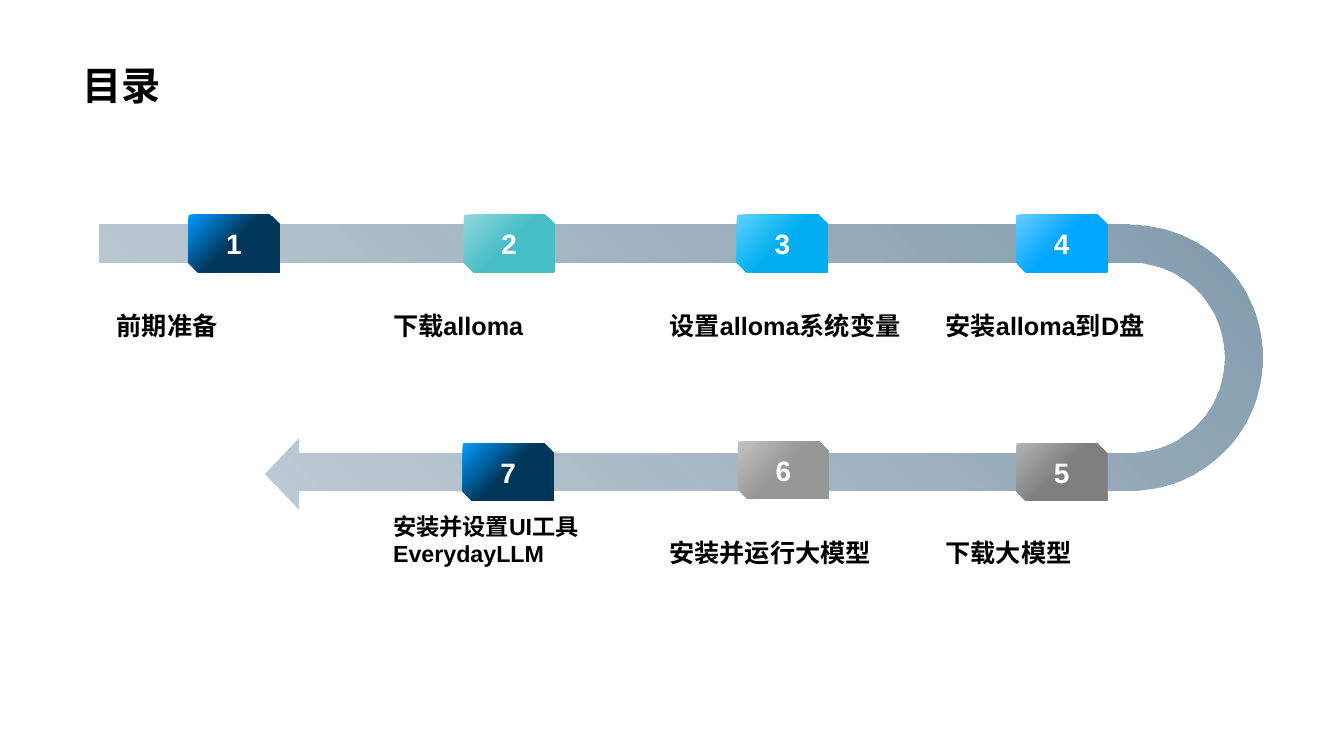
from math import cos, pi, sin

from lxml.etree import SubElement
from pptx import Presentation
from pptx.dml.color import RGBColor
from pptx.enum.shapes import MSO_SHAPE as Shape
from pptx.enum.text import MSO_ANCHOR as Anchor, PP_ALIGN as Align
from pptx.oxml.ns import qn
from pptx.util import Inches, Pt

COLORS = {
    "text": "000000",
    "number": "FFFFFF",
    "road": "003659",
    "navy": ("029CFF", "003659"),
    "teal": ("91D8DD", "47BEC6"),
    "cyan": ("5CD3FF", "00AEEF"),
    "azure": ("66CAFF", "00A7FF"),
    "dark_gray": ("B2B2B2", "7F7F7F"),
    "light_gray": ("C1C1C1", "979797"),
}
LABEL_LEFT, LABEL_PITCH = 1.06, 2.74
LABEL_TOPS = (2.79, 5.04)
STEPS = [
    ("前期准备", 0, 0, 1.87, 2.13, "navy", 18),
    ("下载alloma", 1, 0, 4.6, 2.13, "teal", 18),
    ("设置alloma系统变量", 2, 0, 7.31, 2.13, "cyan", 18),
    ("安装alloma到D盘", 3, 0, 10.08, 2.13, "azure", 18),
    ("下载大模型", 3, 1, 10.08, 4.4, "dark_gray", 18),
    ("安装并运行大模型", 2, 1, 7.32, 4.38, "light_gray", 18),
    ("安装并设置UI工具EverydayLLM", 1, 1, 4.59, 4.4, "navy", 16.6),
]


def write_text(frame, text, size, color, anchor, align):
    frame.word_wrap = True
    frame.vertical_anchor = anchor
    paragraph = frame.paragraphs[0]
    paragraph.alignment = align
    run = paragraph.add_run()
    run.text = text
    for key, value in {"name": "Arial", "size": Pt(size), "bold": True}.items():
        setattr(run.font, key, value)
    run.font.color.rgb = RGBColor.from_string(COLORS[color])


def paint_gradient(shape, colors, end, angle):
    shape.shadow.inherit = False
    shape.line.fill.background()
    shape.fill.gradient()
    shape.fill.gradient_angle = angle
    for stop, color, position in zip(shape.fill.gradient_stops, colors, (0, end)):
        stop.color.rgb = RGBColor.from_string(color)
        stop.position = position


def add_label(slide, text, left, top, width, height, size):
    label = slide.shapes.add_textbox(*map(Inches, (left, top, width, height)))
    write_text(label.text_frame, text, size, "text", Anchor.BOTTOM, Align.LEFT)


def add_badge(slide, number, left, top, colors):
    badge = slide.shapes.add_shape(
        Shape.SNIP_2_DIAG_RECTANGLE, *map(Inches, (left, top, 0.9, 0.57)))
    paint_gradient(badge, colors, 0.5, 315)
    write_text(badge.text_frame, str(number), 20, "number", Anchor.MIDDLE, Align.CENTER)


def bend(radius, steps=48):
    angles = [pi * (i / steps - 0.5) for i in range(steps + 1)]
    return [(11.2 + radius * cos(a), 3.55 + radius * sin(a)) for a in angles]


def add_road(slide):
    arrowhead = [(2.97, 4.87), (2.97, 5.06), (2.63, 4.7), (2.97, 4.34), (2.97, 4.49)]
    outline = bend(1.32) + arrowhead + bend(0.94)[::-1] + [(0.99, 2.61)]
    builder = slide.shapes.build_freeform(Inches(0.99), Inches(2.23))
    builder.add_line_segments([(Inches(x), Inches(y)) for x, y in outline], close=True)
    road = builder.convert_to_shape()
    paint_gradient(road, (COLORS["road"],) * 2, 1, 45)
    for color, opacity in zip(road.fill._xPr.iter(qn("a:srgbClr")), (23, 50)):
        SubElement(color, qn("a:alpha")).set("val", str(opacity * 1000))


def main():
    deck = Presentation()
    deck.slide_width, deck.slide_height = Inches(13.33), Inches(7.5)
    slide = deck.slides.add_slide(deck.slide_layouts[6])
    add_label(slide, "目录", 0.72, 0.14, 11.88, 0.98, 28)
    add_road(slide)
    for number, (text, column, row, left, top, color, size) in enumerate(STEPS, 1):
        add_badge(slide, number, left, top, COLORS[color])
        add_label(slide, text, LABEL_LEFT + column * LABEL_PITCH,
                  LABEL_TOPS[row], 2.51, 0.64, size)
    deck.save("out.pptx")


if __name__ == "__main__":
    main()
